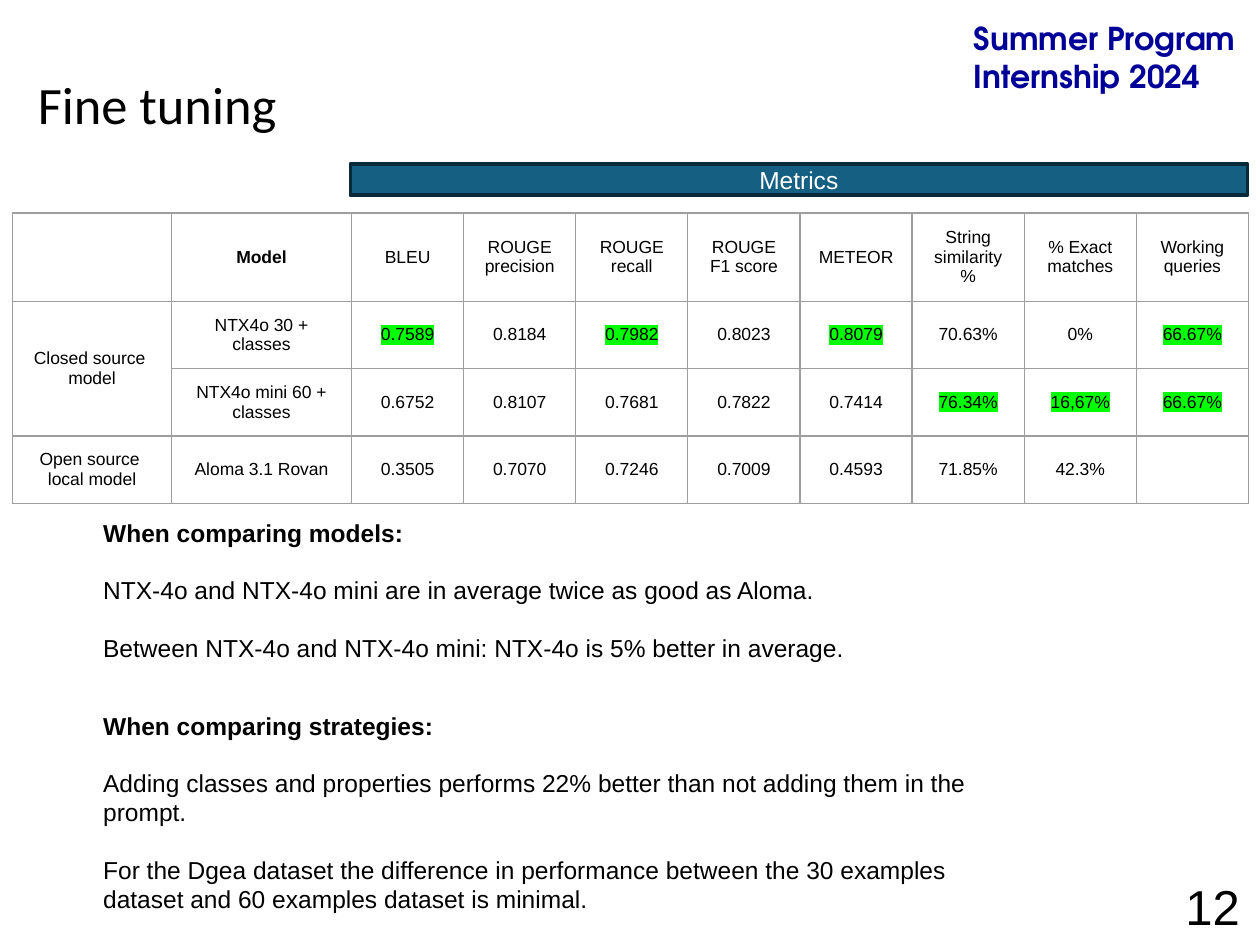
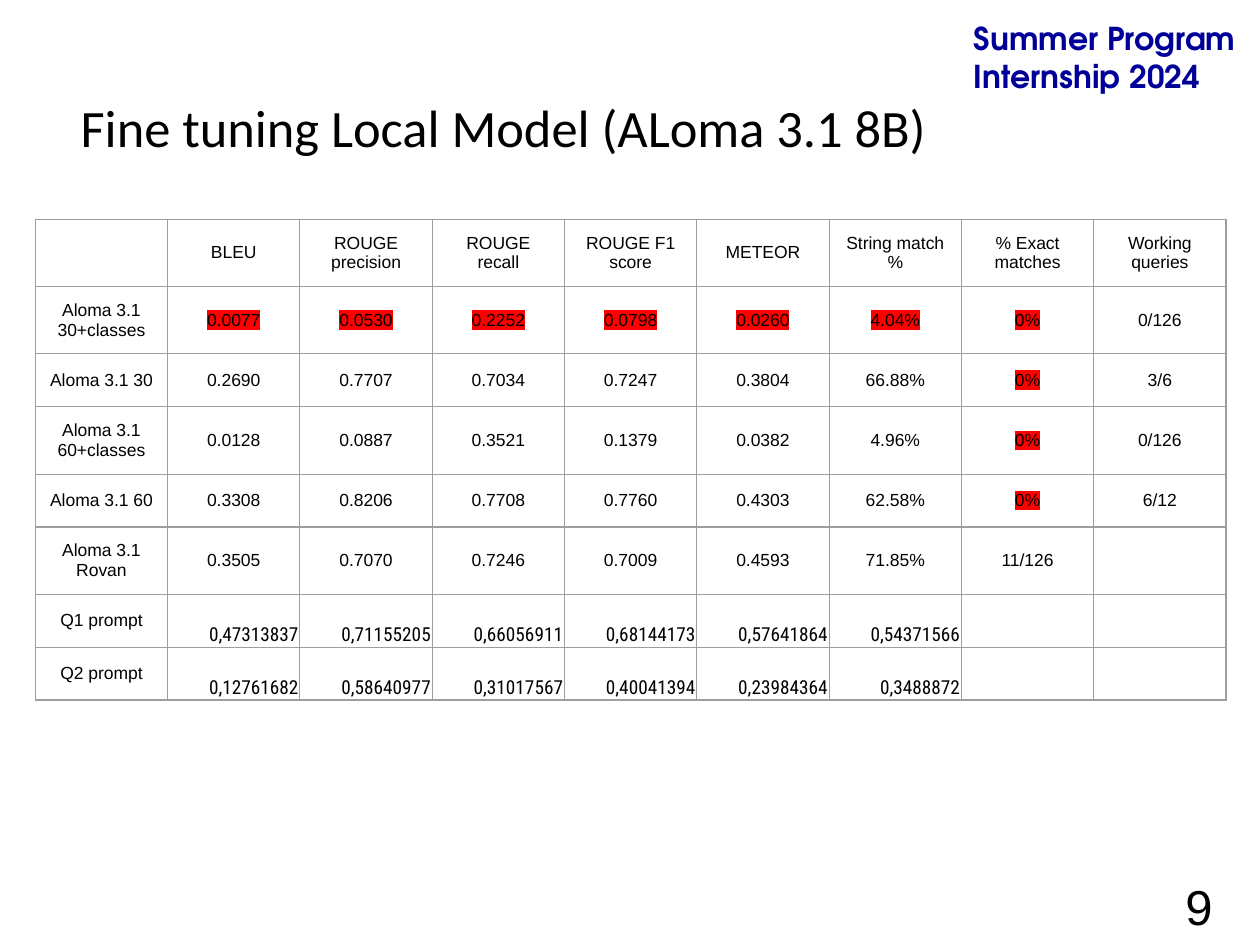
from dataclasses import dataclass

import lxml.etree
import pptx
import pptx.dml.color
import pptx.enum.shapes
import pptx.enum.text
import pptx.oxml.ns
import pptx.util

Inches = pptx.util.Inches
Pt = pptx.util.Pt
ALIGN = pptx.enum.text.PP_ALIGN
ANCHOR = pptx.enum.text.MSO_ANCHOR


@dataclass(frozen=True)
class Theme:
    black: str = "000000"
    white: str = "FFFFFF"
    navy: str = "000099"
    band: str = "156082"
    band_edge: str = "092A39"
    grid: str = "9E9E9E"
    best: str = "00FF00"
    worst: str = "FF0000"
    body_font: str = "Arial"
    title_font: str = "Calibri"
    program_font: str = "TeX Gyre Adventor"
    raw_font: str = "Roboto Condensed"
    title_size: int = 30
    number_size: int = 28
    program_size: int = 18
    body_size: int = 14
    raw_size: int = 11
    cell_size: int = 10
    grid_width: float = 0.75
    tall_row: float = 0.53
    short_row: float = 0.42


THEME = Theme()

COMPARISON_ROWS = [
    ["", "Model", "BLEU", "ROUGE precision", "ROUGE recall", "ROUGE F1 score",
     "METEOR", "String similarity %", "% Exact matches", "Working queries"],
    ["Closed source \nmodel", "NTX4o 30 + classes", "*0.7589", "0.8184", "*0.7982",
     "0.8023", "*0.8079", "70.63%", "0%", "*66.67%"],
    ["", "NTX4o mini 60 + classes", "0.6752", "0.8107", "0.7681", "0.7822",
     "0.7414", "*76.34%", "*16,67%", "*66.67%"],
    ["Open source \nlocal model", "Aloma 3.1 Rovan", "0.3505", "0.7070", "0.7246",
     "0.7009", "0.4593", "71.85%", "42.3%", ""],
]

LOCAL_ROWS = [
    ["", "BLEU", "ROUGE precision", "ROUGE recall", "ROUGE F1 score", "METEOR",
     "String match %", "% Exact matches", "Working queries"],
    ["Aloma 3.1 30+classes", "*0.0077", "*0.0530", "*0.2252", "*0.0798", "*0.0260",
     "*4.04%", "*0%", "0/126"],
    ["Aloma 3.1 30", "0.2690", "0.7707", "0.7034", "0.7247", "0.3804", "66.88%", "*0%", "3/6"],
    ["Aloma 3.1 60+classes", "0.0128", "0.0887", "0.3521", "0.1379", "0.0382",
     "4.96%", "*0%", "0/126"],
    ["Aloma 3.1 60", "0.3308", "0.8206", "0.7708", "0.7760", "0.4303", "62.58%", "*0%", "6/12"],
    ["Aloma 3.1 Rovan", "0.3505", "0.7070", "0.7246", "0.7009", "0.4593", "71.85%", "11/126", ""],
    ["Q1 prompt", "0,47313837", "0,71155205", "0,66056911", "0,68144173",
     "0,57641864", "0,54371566", "", ""],
    ["Q2 prompt", "0,12761682", "0,58640977", "0,31017567", "0,40041394",
     "0,23984364", "0,3488872", "", ""],
]


def rgb(color):
    return pptx.dml.color.RGBColor.from_string(color)


def style_paragraph(paragraph, size, font=THEME.body_font, color=THEME.black,
                    bold=False, align=ALIGN.LEFT):
    paragraph.alignment = align
    paragraph.font.size = Pt(size)
    paragraph.font.name = font
    paragraph.font.bold = bold
    paragraph.font.color.rgb = rgb(color)


def add_color_child(parent, tag, color):
    child = lxml.etree.SubElement(parent, pptx.oxml.ns.qn(tag))
    lxml.etree.SubElement(child, pptx.oxml.ns.qn("a:srgbClr"), val=color)


def add_text_box(slide, box, text):
    shape = slide.shapes.add_textbox(*map(Inches, box))
    shape.text_frame.word_wrap = True
    shape.text_frame.text = text
    return shape.text_frame


def add_frame(presentation, title, title_box, number):
    slide = presentation.slides.add_slide(presentation.slide_layouts[5])
    placeholder = slide.shapes.title
    placeholder.left, placeholder.top, placeholder.width, placeholder.height = map(Inches, title_box)
    frame = placeholder.text_frame
    frame.text = title
    frame.auto_size = pptx.enum.text.MSO_AUTO_SIZE.NONE
    frame.vertical_anchor = ANCHOR.MIDDLE
    style_paragraph(frame.paragraphs[0], THEME.title_size, THEME.title_font)
    frame.paragraphs[0].line_spacing = 0.9

    program = add_text_box(slide, (7.63, 0.1, 2.37, 0.71), "Summer Program\vInternship 2024")
    style_paragraph(program.paragraphs[0], THEME.program_size, THEME.program_font, THEME.navy, True)

    page = add_text_box(slide, (9.31, 6.86, 0.69, 0.6), str(number))
    page.margin_top = Inches(0.1)
    style_paragraph(page.paragraphs[0], THEME.number_size)
    return slide


def set_cell_margins(cell, margin):
    cell.margin_left = cell.margin_right = Inches(margin)
    cell.margin_top = cell.margin_bottom = Inches(margin)


def draw_cell_grid(cell):
    properties = cell._tc.get_or_add_tcPr()
    for side in ("a:lnL", "a:lnR", "a:lnT", "a:lnB"):
        line = lxml.etree.SubElement(properties, pptx.oxml.ns.qn(side), w=str(Pt(THEME.grid_width)))
        add_color_child(line, "a:solidFill", THEME.grid)
    cell.fill.background()


def fill_cell(cell, value, highlight, raw):
    draw_cell_grid(cell)
    set_cell_margins(cell, 0.01 if raw or not value else 0.1)
    cell.vertical_anchor = ANCHOR.BOTTOM if raw else ANCHOR.MIDDLE
    cell.text_frame.text = value.lstrip("*")
    for paragraph in cell.text_frame.paragraphs:
        if raw:
            style_paragraph(paragraph, THEME.raw_size, THEME.raw_font, align=ALIGN.RIGHT)
        else:
            style_paragraph(paragraph, THEME.cell_size, bold=value == "Model", align=ALIGN.CENTER)
        if value.startswith("*"):
            for run in paragraph.runs:
                add_color_child(run._r.get_or_add_rPr(), "a:highlight", highlight)


def add_score_table(slide, left, top, widths, heights, rows, highlight, raw_rows=()):
    table = slide.shapes.add_table(
        len(rows), len(widths), Inches(left), Inches(top),
        Inches(sum(widths)), Inches(sum(heights))).table
    table.first_row = table.horz_banding = False
    for column, width in zip(table.columns, widths):
        column.width = Inches(width)
    for row, height in zip(table.rows, heights):
        row.height = Inches(height)
    for row_index, values in enumerate(rows):
        for column_index, value in enumerate(values):
            raw = row_index in raw_rows and column_index > 0
            fill_cell(table.cell(row_index, column_index), value, highlight, raw)
    return table


def add_metrics_band(slide, box):
    band = slide.shapes.add_shape(pptx.enum.shapes.MSO_SHAPE.RECTANGLE, *map(Inches, box))
    band.shadow.inherit = False
    band.fill.solid()
    band.fill.fore_color.rgb = rgb(THEME.band)
    band.line.color.rgb = rgb(THEME.band_edge)
    band.line.width = Pt(2)
    band.text_frame.text = "Metrics"
    band.text_frame.vertical_anchor = ANCHOR.MIDDLE
    style_paragraph(band.text_frame.paragraphs[0], THEME.body_size,
                    color=THEME.white, align=ALIGN.CENTER)


def add_findings(slide, box, heading, findings):
    frame = add_text_box(slide, box, "\n".join([heading, *findings]))
    for index, paragraph in enumerate(frame.paragraphs):
        style_paragraph(paragraph, THEME.body_size, bold=index == 0)
        paragraph.space_after = Pt(16)


def build_comparison_slide(presentation):
    slide = add_frame(presentation, "Fine tuning", (0.2, 0.45, 8.62, 0.81), 12)
    table = add_score_table(
        slide, 0.1, 1.69, [1.26, 1.43] + [0.89] * 8,
        [0.7] + [THEME.tall_row] * 3, COMPARISON_ROWS, THEME.best)
    table.cell(1, 0).merge(table.cell(2, 0))
    add_metrics_band(slide, (2.78, 1.3, 7.12, 0.25))
    add_findings(slide, (0.72, 4.06, 7.22, 1.28), "When comparing models:", [
        "NTX-4o and NTX-4o mini are in average twice as good as Aloma.",
        "Between NTX-4o and NTX-4o mini: NTX-4o is 5% better in average."])
    add_findings(slide, (0.72, 5.59, 7.22, 1.75), "When comparing strategies:", [
        "Adding classes and properties performs 22% better than not adding them in the prompt.",
        "For the Dgea dataset the difference in performance between the 30 examples dataset "
        "and 60 examples dataset is minimal."])


def build_local_model_slide(presentation):
    slide = add_frame(presentation, "Fine tuning Local Model (ALoma 3.1 8B)",
                      (0.54, 0.63, 8.62, 0.81), 9)
    tall_rows = (0, 1, 3, 5)
    heights = [THEME.tall_row if index in tall_rows else THEME.short_row
               for index in range(len(LOCAL_ROWS))]
    add_score_table(slide, 0.28, 1.74, [1.05] * 9, heights, LOCAL_ROWS,
                    THEME.worst, raw_rows=(6, 7))


def main():
    presentation = pptx.Presentation()
    presentation.slide_width = Inches(10)
    presentation.slide_height = Inches(7.5)
    build_comparison_slide(presentation)
    build_local_model_slide(presentation)
    presentation.save("out.pptx")


if __name__ == "__main__":
    main()
